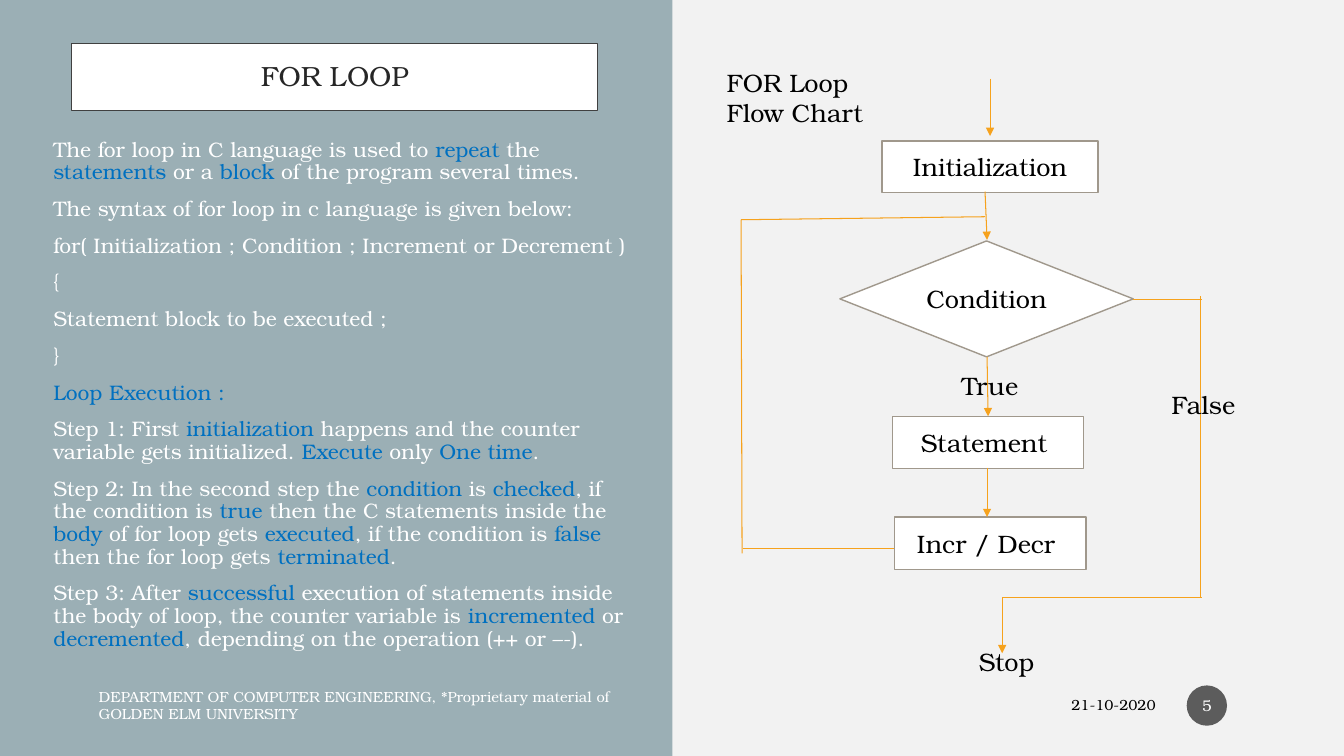
from lxml import etree
from pptx import Presentation
from pptx.dml.color import RGBColor
from pptx.enum import shapes, text
from pptx.oxml.ns import qn
from pptx.util import Inches, Pt

FONT = "TeX Gyre Bonum"
WHITE = RGBColor(0xFF, 0xFF, 0xFF)
BLACK = RGBColor(0, 0, 0)
PAPER = RGBColor(0xF2, 0xF2, 0xF2)
PANEL = RGBColor(0x9B, 0xAF, 0xB5)
TITLE_INK = RGBColor(0x26, 0x26, 0x26)
TITLE_EDGE = RGBColor(0x40, 0x40, 0x40)
BLUE = RGBColor(0x00, 0x70, 0xC0)
BADGE = RGBColor(0x1D, 0x1D, 0x1D)
BOX_EDGE = RGBColor(0xA0, 0x98, 0x8C)
ORANGE = RGBColor(0xF6, 0xA2, 0x1D)

CENTER, LEFT, RIGHT = text.PP_ALIGN.CENTER, text.PP_ALIGN.LEFT, text.PP_ALIGN.RIGHT
TOP, MIDDLE = text.MSO_ANCHOR.TOP, text.MSO_ANCHOR.MIDDLE
RECT = shapes.MSO_SHAPE.RECTANGLE

deck = Presentation()
deck.slide_width, deck.slide_height = Inches(13.33), Inches(7.5)
page = deck.slides.add_slide(deck.slide_layouts[5])
page.background.fill.solid()
page.background.fill.fore_color.rgb = PAPER


def write(box, lines, size, color, align=LEFT, anchor=TOP, inset=(0.1, 0.05), spacing=None):
    """Fill a box with paragraphs; words between bars are blue."""
    frame = box.text_frame
    frame.word_wrap = True
    frame.auto_size = text.MSO_AUTO_SIZE.NONE
    frame.vertical_anchor = anchor
    frame.margin_left = frame.margin_right = Inches(inset[0])
    frame.margin_top = frame.margin_bottom = Inches(inset[1])
    for number, line in enumerate(lines):
        para = frame.add_paragraph() if number else frame.paragraphs[0]
        para.alignment = align
        if spacing:
            para.line_spacing = spacing
        para.space_before = Pt(10 if number else 0)
        for part, words in enumerate(line.split("|")):
            if words:
                span = para.add_run()
                span.text = words
                span.font.name, span.font.size = FONT, Pt(size)
                span.font.color.rgb = BLUE if part % 2 else color


def add_shape(kind, place, fill, edge=None):
    """Add a flat shape with an optional outline."""
    shape = page.shapes.add_shape(kind, *map(Inches, place))
    shape.shadow.inherit = False
    shape.fill.solid()
    shape.fill.fore_color.rgb = fill
    if edge:
        shape.line.color.rgb = edge
        shape.line.width = Pt(1)
    else:
        shape.line.fill.background()
    return shape


# Left panel and title
title = page.shapes.title
panel = add_shape(RECT, (0, 0, 6.67, 7.5), PANEL)
title.element.addprevious(panel.element)
title.left, title.top, title.width, title.height = map(Inches, (0.71, 0.43, 5.22, 0.67))
title.fill.solid()
title.fill.fore_color.rgb = WHITE
title.line.color.rgb = TITLE_EDGE
title.line.width = Pt(0.75)
write(title, ["FOR LOOP"], 19.8, TITLE_INK, CENTER, MIDDLE, (0.2, 0.2), 0.9)

# Explanation
explanation = [
    "The for loop in C language is used to |repeat| the |statements| or a |block| of the program several times.",
    "The syntax of for loop in c language is given below:",
    "for( Initialization ; Condition ; Increment or Decrement )",
    "{",
    "Statement block to be executed ;",
    "}",
    "|Loop Execution :|",
    "Step 1: First |initialization| happens and the counter variable gets initialized. "
    "|Execute| only |One time|.",
    "Step 2: In the second step the |condition| is |checked|, if the condition is |true| then "
    "the C statements inside the |body| of for loop gets |executed|, if the condition is |false| "
    "then the for loop gets |terminated|.",
    "Step 3: After |successful| execution of statements inside the body of loop, the counter "
    "variable is |incremented| or |decremented|, depending on the operation (++ or –-).",
]
body = page.shapes.add_textbox(*map(Inches, (0.43, 1.33, 5.91, 5.44)))
write(body, explanation, 15, WHITE, spacing=0.9)

# Footer, date and page number
footer = page.shapes.add_textbox(*map(Inches, (0.88, 6.82, 5.6, 0.35)))
write(footer, ["DEPARTMENT OF COMPUTER ENGINEERING, *Proprietary material of GOLDEN ELM UNIVERSITY"],
      10.5, WHITE, anchor=MIDDLE)
date = page.shapes.add_textbox(*map(Inches, (8.55, 6.82, 3.01, 0.35)))
write(date, ["21-10-2020"], 10.5, BLACK, RIGHT, MIDDLE)
badge = add_shape(shapes.MSO_SHAPE.OVAL, (11.77, 6.8, 0.4, 0.4), BADGE)
badge_color = badge.fill._xPr.find(qn("a:solidFill"))[0]
etree.SubElement(badge_color, qn("a:alpha"), val="70000")
write(badge, ["5"], 11, WHITE, CENTER, MIDDLE, (0.02, 0.05))

# Flow chart boxes
for label, kind, place in [
    ("Initialization", RECT, (8.75, 1.4, 2.14, 0.51)),
    ("Condition", shapes.MSO_SHAPE.DIAMOND, (8.33, 2.39, 2.91, 1.15)),
    ("Statement ", RECT, (8.85, 4.13, 1.9, 0.52)),
    ("Incr / Decr ", RECT, (8.87, 5.13, 1.9, 0.52)),
]:
    step = add_shape(kind, place, WHITE, BOX_EDGE)
    write(step, [label], 18, BLACK, CENTER, MIDDLE)

# Flow lines: start x, start y, end x, end y, arrowhead
for x1, y1, x2, y2, arrow in [
    (9.82, 0.78, 9.82, 1.35, True),
    (9.77, 1.9, 9.79, 2.38, True),
    (9.79, 3.54, 9.8, 4.13, True),
    (9.79, 4.64, 9.79, 5.13, True),
    # false branch
    (11.24, 2.97, 11.92, 2.97, False),
    (11.91, 2.94, 11.91, 5.93, False),
    (9.94, 5.93, 11.92, 5.93, False),
    (9.94, 5.93, 9.94, 6.48, True),
    # way back to the condition
    (8.87, 5.44, 7.37, 5.44, False),
    (7.36, 5.49, 7.35, 2.18, False),
    (7.35, 2.18, 9.77, 2.15, False),
]:
    flow = page.shapes.add_connector(shapes.MSO_CONNECTOR.STRAIGHT,
                                     *map(Inches, (x1, y1, x2, y2)))
    flow.line.color.rgb = ORANGE
    flow.line.width = Pt(0.75)
    if arrow:
        etree.SubElement(flow.line._get_or_add_ln(), qn("a:tailEnd"), type="triangle")
    etree.SubElement(flow.element.spPr, qn("a:effectLst"))

# Flow chart labels
for label, place in [
    ("True", (9.44, 3.62, 0.9, 0.4)),
    ("False", (11.52, 3.81, 1.1, 0.4)),
    ("Stop", (9.61, 6.36, 0.9, 0.4)),
    ("FOR Loop Flow Chart", (7.11, 0.62, 1.64, 0.71)),
]:
    caption = page.shapes.add_textbox(*map(Inches, place))
    write(caption, [label], 18, BLACK)

deck.save("out.pptx")
